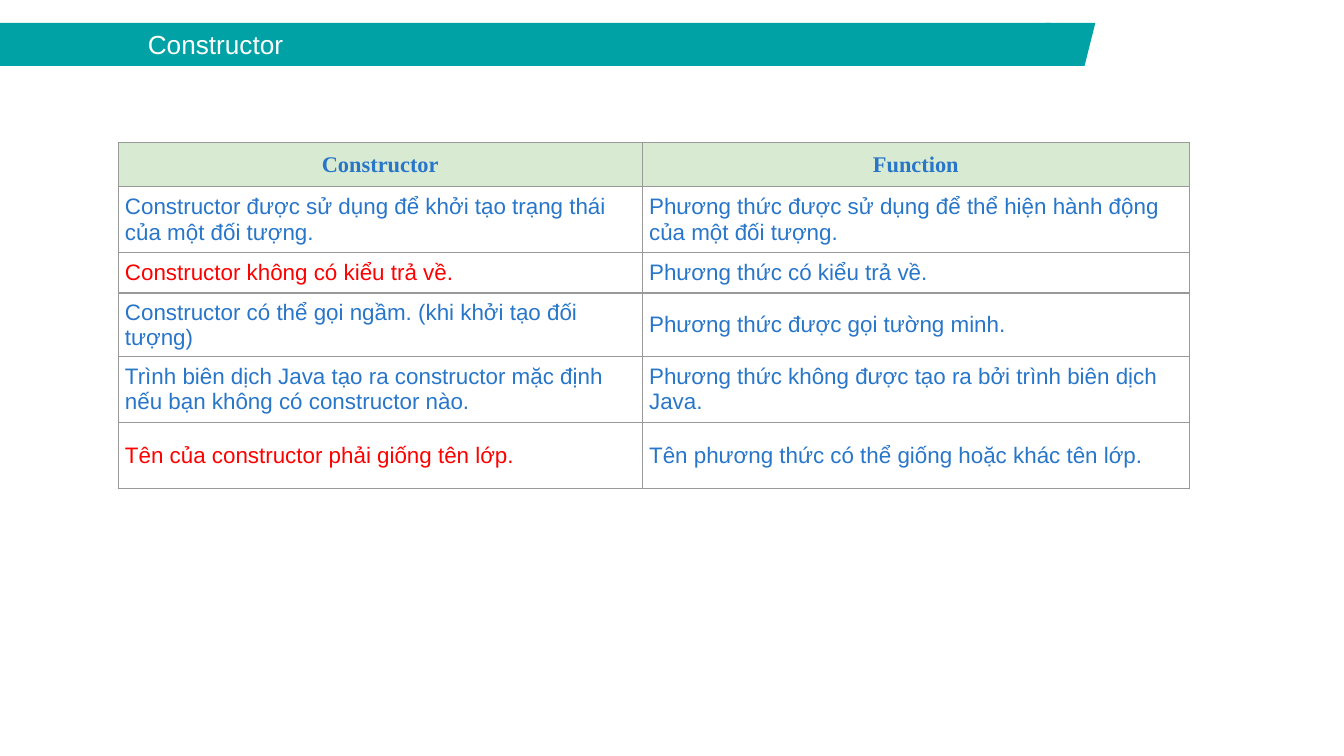
from lxml.etree import SubElement
from pptx import Presentation
from pptx.dml.color import RGBColor
from pptx.enum.shapes import MSO_SHAPE as Shape
from pptx.enum.text import MSO_ANCHOR as Anchor, MSO_AUTO_SIZE as AutoSize, PP_ALIGN as Align
from pptx.oxml.ns import qn
from pptx.util import Inches, Pt

TEAL, BLUE, RED, GREEN, WHITE, GRAY = "01A2A6", "2876C9", "FF0000", "D9EAD3", "FFFFFF", "999999"


def paint(fill, color):
    fill.solid()
    fill.fore_color.rgb = RGBColor.from_string(color)


def add_borders(cell, color, points):
    properties = cell._tc.get_or_add_tcPr()
    for position, side in enumerate(("lnL", "lnR", "lnT", "lnB")):
        line = properties.makeelement(qn(f"a:{side}"), {"w": str(Pt(points))})
        SubElement(SubElement(line, qn("a:solidFill")), qn("a:srgbClr"), val=color)
        properties.insert(position, line)


# Widescreen page, 16:9
deck = Presentation()
deck.slide_width = Inches(10)
deck.slide_height = deck.slide_width * 9 // 16
page = deck.slides.add_slide(deck.slide_layouts[5])

# Title bar
bar_top, bar_height = Inches(0.17), Inches(0.32)
title = page.shapes.title
title.left, title.top, title.width, title.height = 0, bar_top, Inches(7.82), bar_height
paint(title.fill, TEAL)
frame = title.text_frame
frame.text = "Constructor"
frame.auto_size = AutoSize.NONE
frame.vertical_anchor = Anchor.MIDDLE
frame.margin_left = Inches(1.1)
frame.margin_right = frame.margin_top = frame.margin_bottom = Inches(0.1)
para = frame.paragraphs[0]
para.alignment = Align.LEFT
para.font.name, para.font.size = "Arial", Pt(14)
para.font.color.rgb = RGBColor.from_string(WHITE)

# Slanted end of the bar
bar_end = page.shapes.add_shape(Shape.PARALLELOGRAM, Inches(7.7), bar_top, Inches(0.45), bar_height)
bar_end.adjustments[0] = 0.25
bar_end.shadow.inherit = False
paint(bar_end.fill, TEAL)
bar_end.line.fill.background()

# Comparison table
rows = [
    ("Constructor", "Function"),
    ("Constructor được sử dụng để khởi tạo trạng thái của một đối tượng.",
     "Phương thức được sử dụng để thể hiện hành động của một đối tượng."),
    ("Constructor không có kiểu trả về.", "Phương thức có kiểu trả về."),
    ("Constructor có thể gọi ngầm. (khi khởi tạo đối tượng)", "Phương thức được gọi tường minh."),
    ("Trình biên dịch Java tạo ra constructor mặc định nếu bạn không có constructor nào.",
     "Phương thức không được tạo ra bởi trình biên dịch Java."),
    ("Tên của constructor phải giống tên lớp.", "Tên phương thức có thể giống hoặc khác tên lớp."),
]
column_widths = (3.9, 4.07)
row_heights = (0.33, 0.49, 0.3, 0.3, 0.49, 0.49)
red_cells = {(2, 0), (5, 0)}

table_frame = page.shapes.add_table(
    len(rows), len(column_widths), Inches(0.88), Inches(1.06),
    Inches(sum(column_widths)), Inches(sum(row_heights)))
table = table_frame.table
table.first_row = table.horz_banding = False
for column, width in zip(table.columns, column_widths):
    column.width = Inches(width)

for r, texts in enumerate(rows):
    table.rows[r].height = Inches(row_heights[r])
    header = r == 0
    for c, text in enumerate(texts):
        cell = table.cell(r, c)
        cell.text = text
        cell.vertical_anchor = Anchor.MIDDLE
        cell.margin_left = cell.margin_right = cell.margin_top = cell.margin_bottom = Inches(0.05)
        paint(cell.fill, GREEN if header else WHITE)
        add_borders(cell, GRAY, 0.75)
        para = cell.text_frame.paragraphs[0]
        para.alignment = Align.CENTER if header else Align.LEFT
        para.space_after = Pt(11)
        para.font.name = "Times New Roman" if header else "Arial"
        para.font.size, para.font.bold = Pt(12), header
        para.font.color.rgb = RGBColor.from_string(RED if (r, c) in red_cells else BLUE)
table_frame.height = Inches(2.64)

deck.save("out.pptx")
